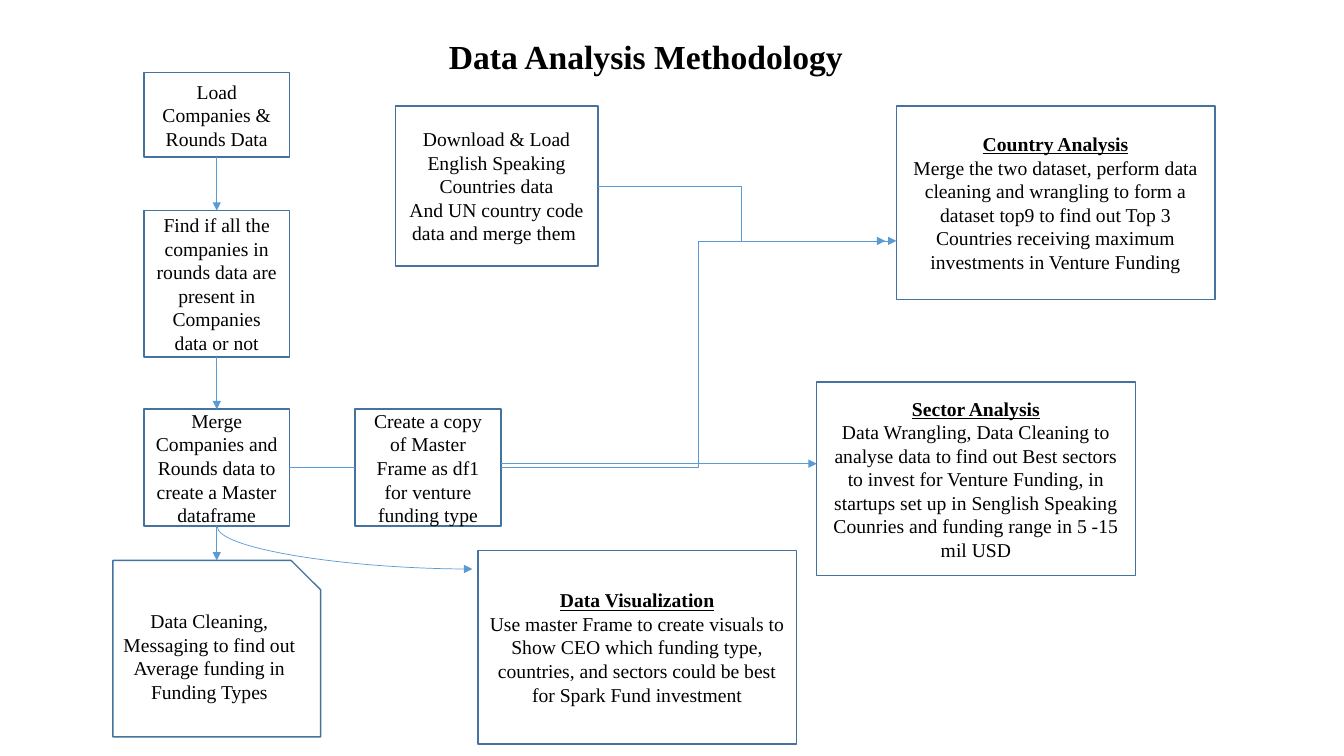
from lxml import etree
from pptx import Presentation
from pptx.dml.color import RGBColor
from pptx.enum.shapes import MSO_CONNECTOR, MSO_SHAPE
from pptx.enum.text import MSO_ANCHOR, MSO_AUTO_SIZE, PP_ALIGN
from pptx.oxml.ns import qn
from pptx.util import Pt

PX = 9144  # 100 px to the inch
FONT = "Times New Roman"
BLACK = RGBColor(0x00, 0x00, 0x00)
BORDER = RGBColor(0x43, 0x73, 0x9E)
ARROW = RGBColor(0x5B, 0x9B, 0xD5)
RECT, SNIP = MSO_SHAPE.RECTANGLE, MSO_SHAPE.SNIP_1_RECTANGLE
STRAIGHT, ELBOW, CURVE = MSO_CONNECTOR.STRAIGHT, MSO_CONNECTOR.ELBOW, MSO_CONNECTOR.CURVE
CENTER, MIDDLE = PP_ALIGN.CENTER, MSO_ANCHOR.MIDDLE
TOP, LEFT, BOTTOM, RIGHT = range(4)


def write(para, text, size, heading=False):
    para.alignment = CENTER
    span = para.add_run()
    span.text = text
    span.font.name = FONT
    span.font.size = Pt(size)
    span.font.color.rgb = BLACK
    span.font.bold = heading
    return span


def connect(kind, points, arrowhead=True):
    line = page.shapes.add_connector(kind, *(value * PX for value in points))
    line.line.color.rgb = ARROW
    line.line.width = Pt(0.5)
    if arrowhead:
        etree.SubElement(line.line._get_or_add_ln(), qn("a:tailEnd"), type="triangle")
    etree.SubElement(line._element.spPr, qn("a:effectLst"))
    return line


deck = Presentation()
deck.slide_width, deck.slide_height = 1333 * PX, 750 * PX
page = deck.slides.add_slide(deck.slide_layouts[5])

# Title
title = page.shapes.title
title.left, title.top, title.width, title.height = 131 * PX, 11 * PX, 1019 * PX, 94 * PX
title.text_frame.auto_size = MSO_AUTO_SIZE.NONE
title.text_frame.vertical_anchor = MIDDLE
title.text_frame.paragraphs[0].line_spacing = 0.9
write(title.text_frame.paragraphs[0], "Data Analysis Methodology", 24, True)

# Boxes: key, shape, left, top, width, height, heading, body paragraphs
BOXES = [
    ("load", RECT, 143, 72, 144, 84, None, ["Load Companies & Rounds Data"]),
    ("find", RECT, 143, 209, 144, 145, None,
     ["Find if all the companies in rounds data are present in Companies data or not"]),
    ("merge", RECT, 143, 406, 144, 116, None,
     ["Merge Companies and Rounds data to create a Master dataframe"]),
    ("cleaning", SNIP, 112, 556, 206, 175, None,
     ["Data Cleaning, Messaging to find out Average funding in Funding Types"]),
    ("master copy", RECT, 352, 406, 145, 116, None,
     ["Create a copy of Master Frame as df1 for venture funding type"]),
    ("download", RECT, 392, 105, 201, 159, None,
     ["Download & Load English Speaking Countries data",
      "And UN country code data and merge them "]),
    ("country", RECT, 889, 105, 316, 192, "Country Analysis",
     ["Merge the two dataset, perform data cleaning and wrangling to form a dataset top9 "
      "to find out Top 3 Countries receiving maximum investments in Venture Funding"]),
    ("sector", RECT, 810, 379, 316, 192, "Sector Analysis",
     ["Data Wrangling, Data Cleaning to analyse data to find out Best sectors to invest "
      "for Venture Funding, in startups set up in Senglish Speaking Counries and funding "
      "range in 5 -15 mil USD"]),
    ("visualization", RECT, 474, 546, 316, 192, "Data Visualization",
     ["Use master Frame to create visuals to Show CEO which funding type, countries, "
      "and sectors could be best for Spark Fund investment"]),
]
boxes = {}
for key, shape, left, top, width, height, heading, body in BOXES:
    box = page.shapes.add_shape(shape, left * PX, top * PX, width * PX, height * PX)
    box.shadow.inherit = False
    box.fill.background()
    box.line.color.rgb = BORDER
    box.line.width = Pt(1)
    frame = box.text_frame
    frame.word_wrap = True
    frame.vertical_anchor = MIDDLE
    para = frame.paragraphs[0]
    if heading:
        write(para, heading, 14, True).font.underline = True
        para = frame.add_paragraph()
    write(para, body[0], 14)
    for text in body[1:]:
        write(frame.add_paragraph(), text, 14)
    boxes[key] = box

# Straight links joined to the boxes
for start, start_side, finish, finish_side, points, arrowhead in [
    ("load", BOTTOM, "find", TOP, (215, 156, 215, 209), True),
    ("find", BOTTOM, "merge", TOP, (215, 354, 215, 406), True),
    ("merge", BOTTOM, "cleaning", TOP, (215, 522, 215, 556), True),
    ("merge", RIGHT, "master copy", LEFT, (287, 464, 352, 464), False),
]:
    link = connect(STRAIGHT, points, arrowhead)
    link.begin_connect(boxes[start], start_side)
    link.end_connect(boxes[finish], finish_side)

# Arrows to the country and sector analyses
connect(ELBOW, (497, 464, 889, 239))
connect(ELBOW, (593, 185, 878, 239))
connect(STRAIGHT, (497, 460, 810, 460))

# Quarter curve to the visualization, turned so that it leaves downwards
curve = connect(CURVE, (363, 417, 321, 670))
curve._element.spPr.find(qn("a:prstGeom")).set("prst", "curvedConnector2")
curve._element.spPr.find(qn("a:xfrm")).set("rot", str(270 * 60000))

deck.save("out.pptx")
